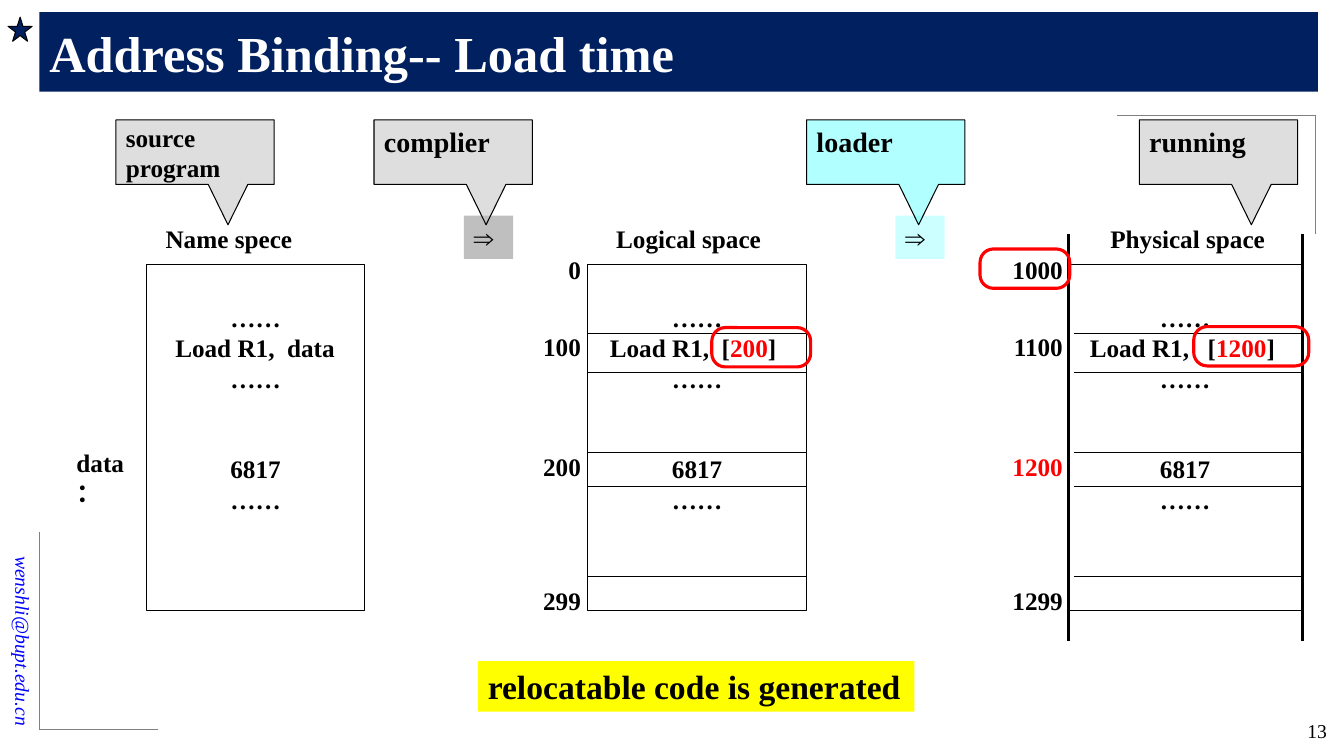
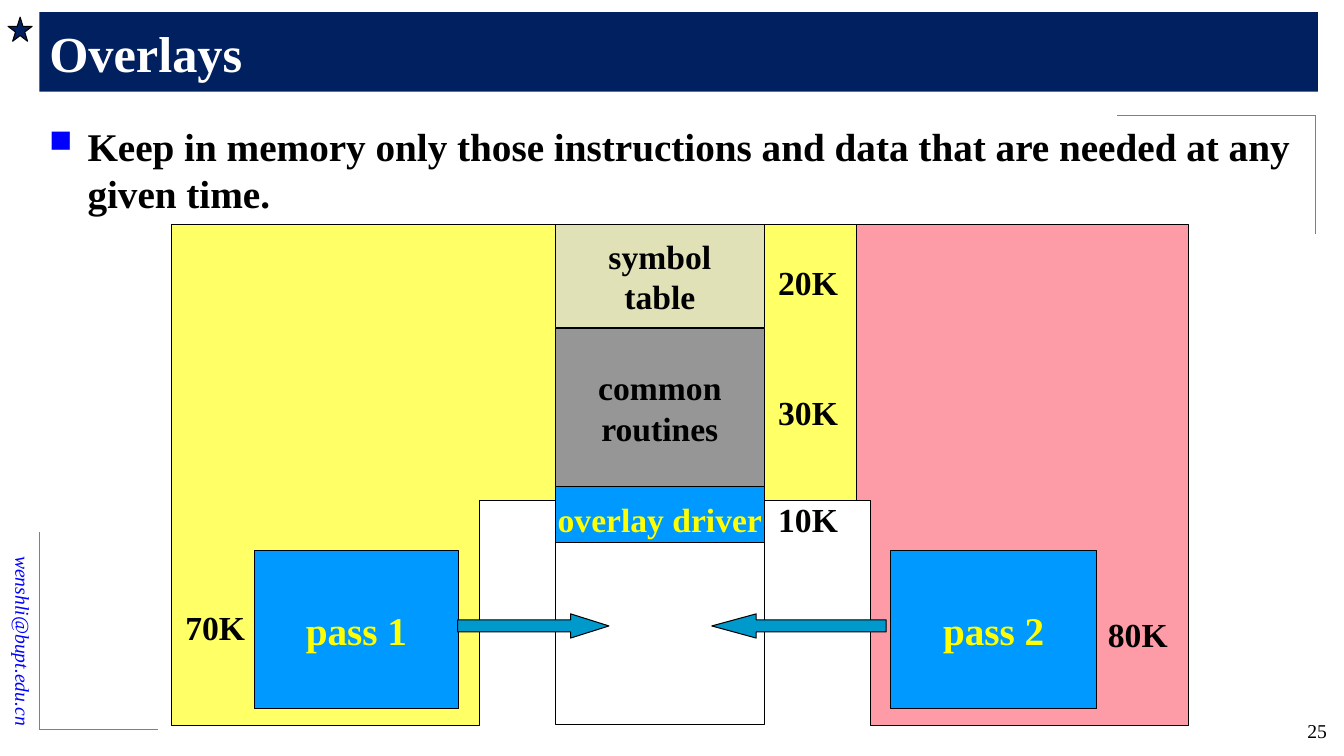
from lxml.etree import SubElement
from pptx import Presentation
from pptx.dml.color import RGBColor
from pptx.enum.shapes import MSO_CONNECTOR, MSO_SHAPE
from pptx.enum.text import MSO_ANCHOR, PP_ALIGN
from pptx.oxml.ns import qn
from pptx.util import Inches, Pt

FONT = "Times New Roman"
BLACK = RGBColor(0x00, 0x00, 0x00)
WHITE = RGBColor(0xFF, 0xFF, 0xFF)
GRAY = RGBColor(0x80, 0x80, 0x80)
NAVY = RGBColor(0x00, 0x20, 0x60)
BLUE = RGBColor(0x00, 0x00, 0xFF)
RED = RGBColor(0xFF, 0x00, 0x00)
YELLOW = RGBColor(0xFF, 0xFF, 0x00)
SILVER = RGBColor(0xBF, 0xBF, 0xBF)
CYAN = RGBColor(0x66, 0xFF, 0xFF)
PALE_CYAN = RGBColor(0xCC, 0xFF, 0xFF)
PINK = RGBColor(0xFD, 0x9B, 0xA7)
LEMON = RGBColor(0xFF, 0xFF, 0x66)
KHAKI = RGBColor(0xE1, 0xE1, 0xB7)
DARK_GRAY = RGBColor(0x96, 0x96, 0x96)
AZURE = RGBColor(0x00, 0x99, 0xFF)
TEAL = RGBColor(0x00, 0x99, 0xCC)

LINE_HEIGHT = 21.6
BLOCK_TOP, BLOCK_HEIGHT = 2.62, 3.44
RULE_TOPS = (3.31, 3.7, 4.49, 4.83, 5.72)
ADDRESS_TOPS = (2.47, 3.24, 4.43, 5.76)
PASS_TOP, PASS_HEIGHT = 5.46, 1.57


def set_font(font, size, color=BLACK, bold=True, italic=False):
    """Give a font its typeface, size, colour and style."""
    font.name = FONT
    font.size = Pt(size)
    font.color.rgb = color
    font.bold = bold
    font.italic = italic


def write_text(shape, text, size, color=BLACK, align=PP_ALIGN.LEFT,
               anchor=MSO_ANCHOR.TOP, wrap=True, bold=True, italic=False):
    """Fill a shape with equally formatted paragraphs, one per line of text."""
    frame = shape.text_frame
    frame.text = text
    frame.word_wrap = wrap
    frame.vertical_anchor = anchor
    for paragraph in frame.paragraphs:
        paragraph.alignment = align
        set_font(paragraph.font, size, color, bold, italic)
    return shape


def paint(shape, fill=None, line=None, width=0.75):
    """Set the fill and outline of a shape and remove its shadow."""
    shape.shadow.inherit = False
    if fill is None:
        shape.fill.background()
    else:
        shape.fill.solid()
        shape.fill.fore_color.rgb = fill
    if line is None:
        shape.line.fill.background()
    else:
        shape.line.color.rgb = line
        shape.line.width = Pt(width)
    return shape


def add_figure(slide, kind, left, top, width, height, fill=None, line=None, weight=0.75):
    """Add a painted preset shape."""
    shape = slide.shapes.add_shape(
        kind, Inches(left), Inches(top), Inches(width), Inches(height))
    return paint(shape, fill, line, weight)


def add_label(slide, left, top, width, height, text, size, **style):
    """Add a text box."""
    box = slide.shapes.add_textbox(
        Inches(left), Inches(top), Inches(width), Inches(height))
    return write_text(box, text, size, **style)


def add_line(slide, start, end, color=BLACK, width=0.75):
    """Add a straight line without a shadow."""
    line = slide.shapes.add_connector(
        MSO_CONNECTOR.STRAIGHT, *(Inches(value) for value in (*start, *end)))
    line.line.color.rgb = color
    line.line.width = Pt(width)
    SubElement(line._element.spPr, qn("a:effectLst"))


def add_outline(slide, points, fill):
    """Add a closed polygon."""
    corners = [(Inches(x), Inches(y)) for x, y in points]
    builder = slide.shapes.build_freeform(*corners[0])
    builder.add_line_segments(corners[1:], close=True)
    paint(builder.convert_to_shape(), fill, BLACK)


def add_box(slide, left, top, width, height, fill, text, size, color=BLACK):
    """Add an outlined box with centred text."""
    box = add_figure(slide, MSO_SHAPE.RECTANGLE, left, top, width, height, fill, BLACK)
    write_text(box, text, size, color, PP_ALIGN.CENTER, MSO_ANCHOR.MIDDLE, wrap=False)


def start_slide(presentation, title, number):
    """Add a slide with the shared frame, title band and page number."""
    slide = presentation.slides.add_slide(presentation.slide_layouts[6])
    address = add_label(slide, -1.09, 5.81, 2.64, 0.34, "wenshli@bupt.edu.cn", 14,
                        color=BLUE, align=PP_ALIGN.RIGHT, anchor=MSO_ANCHOR.MIDDLE,
                        bold=False, italic=True)
    address.rotation = 90
    for corner, ends in (((0.39, 7.24), ((0.39, 5.28), (1.57, 7.24))),
                         ((13.05, 1.14), ((13.05, 2.32), (11.08, 1.14)))):
        for end in ends:
            add_line(slide, corner, end, GRAY, 0.5)
    add_figure(slide, MSO_SHAPE.STAR_5_POINT, 0.08, 0.17, 0.24, 0.24, NAVY, BLACK)
    band = add_figure(slide, MSO_SHAPE.RECTANGLE, 0.39, 0.12, 12.68, 0.79, NAVY)
    write_text(band, title, 36, WHITE, anchor=MSO_ANCHOR.MIDDLE)
    add_label(slide, 12.15, 7.08, 1.11, 0.36, str(number), 14,
              align=PP_ALIGN.RIGHT, bold=False)
    return slide


def add_callout(slide, left, text, fill=SILVER, size=20, anchor=MSO_ANCHOR.TOP):
    """Add a half-transparent callout that points down."""
    callout = add_figure(slide, MSO_SHAPE.RECTANGULAR_CALLOUT,
                         left, 1.19, 1.57, 0.64, fill, BLACK)
    callout.adjustments[0] = 0.208
    callout.adjustments[1] = 1.125
    color = callout._element.spPr.find(qn("a:solidFill")).find(qn("a:srgbClr"))
    SubElement(color, qn("a:alpha"), val="50000")
    write_text(callout, text, size, anchor=anchor)


def add_step_arrow(slide, left, fill):
    """Add the small arrow sign between two address spaces."""
    sign = add_figure(slide, MSO_SHAPE.RECTANGLE, left, 2.14, 0.49, 0.43, fill)
    write_text(sign, "⇒", 20)


def add_memory_block(slide, left, width, heading, heading_center, operand, stops):
    """Add an address space; the operand is a list of text and colour pairs."""
    add_label(slide, heading_center - 0.9, 2.17, 1.8, 0.4, heading, 18,
              align=PP_ALIGN.CENTER)
    block = add_figure(slide, MSO_SHAPE.RECTANGLE, left, BLOCK_TOP, width, BLOCK_HEIGHT,
                       line=BLACK)
    frame = block.text_frame
    frame.margin_top = Inches(0.38)
    frame.text = "……\n\tLoad R1,\t\n……\n6817\n……"
    frame.word_wrap = False
    frame.vertical_anchor = MSO_ANCHOR.TOP
    instruction, data = frame.paragraphs[1], frame.paragraphs[3]
    for paragraph in frame.paragraphs:
        paragraph.alignment = PP_ALIGN.CENTER
        paragraph.line_spacing = Pt(LINE_HEIGHT)
    data.space_before = Pt(2 * LINE_HEIGHT)
    instruction.alignment = PP_ALIGN.LEFT
    tabs = SubElement(instruction._p.get_or_add_pPr(), qn("a:tabLst"))
    for stop in stops:
        SubElement(tabs, qn("a:tab"), pos=str(Inches(stop)), algn="l")
    for paragraph in frame.paragraphs:
        set_font(paragraph.font, 18)
    for text, color in operand:
        run = instruction.add_run()
        run.text = text
        run.font.color.rgb = color


def add_addresses(slide, right, width, addresses, highlight=None):
    """Add the addresses at the left side of an address space."""
    for top, address in zip(ADDRESS_TOPS, addresses):
        add_label(slide, right - width, top, width, 0.4, address, 18,
                  color=RED if address == highlight else BLACK,
                  align=PP_ALIGN.RIGHT, wrap=False)


def add_rules(slide, left, right):
    """Divide an address space with horizontal lines."""
    for top in RULE_TOPS:
        add_line(slide, (left, top), (right, top))


def add_mark(slide, left, top, width):
    """Add a red rounded frame around a value."""
    mark = add_figure(slide, MSO_SHAPE.ROUNDED_RECTANGLE, left, top, width, 0.39,
                      line=RED, weight=2.25)
    mark.adjustments[0] = 0.342


def build_load_time(presentation):
    """Build the slide on address binding at load time."""
    slide = start_slide(presentation, "Address Binding-- Load time", 13)
    add_memory_block(slide, 1.45, 2.17, "Name spece", 2.27,
                     [("data", BLACK)], (0.19, 1.3))
    add_label(slide, 0.66, 4.39, 0.97, 0.4, "data\v：", 18)
    add_memory_block(slide, 5.83, 2.17, "Logical space", 6.83,
                     [("[", BLACK), ("200", RED), ("]", BLACK)], (0.12, 1.23))
    add_addresses(slide, 5.86, 0.58, ("0", "100", "200", "299"))
    add_rules(slide, 5.83, 7.99)
    add_memory_block(slide, 10.59, 2.33, "Physical space", 11.78,
                     [("[", BLACK), ("1200", RED), ("]", BLACK)], (0.12, 1.29))
    add_addresses(slide, 10.64, 0.71, ("1000", "1100", "1200", "1299"), "1200")
    add_rules(slide, 10.65, 12.91)
    for side in (10.6, 12.92):
        add_line(slide, (side, 2.32), (side, 6.36), width=2.25)
    add_step_arrow(slide, 4.6, SILVER)
    add_step_arrow(slide, 8.88, PALE_CYAN)
    add_callout(slide, 1.15, "source program", size=18, anchor=MSO_ANCHOR.MIDDLE)
    add_callout(slide, 3.71, "complier")
    add_callout(slide, 8, "loader", CYAN)
    add_callout(slide, 11.3, "running")
    for left, top, width in ((9.72, 2.47, 0.89), (11.84, 3.24, 1.14), (7.06, 3.25, 0.98)):
        add_mark(slide, left, top, width)
    banner = add_figure(slide, MSO_SHAPE.RECTANGLE, 4.74, 6.56, 4.33, 0.5, YELLOW)
    write_text(banner, "relocatable code is generated", 24, wrap=False)


def add_bullet(slide, text):
    """Add a bulleted statement below the title."""
    body = add_label(slide, 0.39, 1.16, 12.64, 1.05, text, 28)
    paragraph = body.text_frame.paragraphs[0]
    properties = paragraph._p.get_or_add_pPr()
    properties.set("marL", str(Inches(0.38)))
    properties.set("indent", str(-Inches(0.38)))
    bullet_color = properties.makeelement(qn("a:buClr"))
    SubElement(bullet_color, qn("a:srgbClr"), val=str(BLUE))
    bullet_size = properties.makeelement(qn("a:buSzPct"), val="80000")
    bullet_sign = properties.makeelement(qn("a:buChar"), char="■")
    for position, element in enumerate((bullet_color, bullet_size, bullet_sign)):
        properties.insert(position, element)


def build_overlays(presentation):
    """Build the slide on overlays."""
    slide = start_slide(presentation, "Overlays", 25)
    add_bullet(slide, "Keep in memory only those instructions and data "
                      "that are needed at any given time.")
    top, step, bottom = 2.23, 4.97, 7.2
    for outer, inner, far, fill in ((11.79, 8.63, 4.8, PINK), (1.7, 4.76, 8.49, LEMON)):
        add_outline(slide, ((outer, bottom), (inner, bottom), (inner, step),
                            (far, step), (far, top), (outer, top)), fill)
    for box_top, height, fill, text, color in (
            (2.23, 1.02, KHAKI, "symbol\ntable", BLACK),
            (3.26, 1.57, DARK_GRAY, "common\nroutines", BLACK),
            (4.83, 0.63, AZURE, "overlay driver", YELLOW)):
        add_box(slide, 5.51, box_top, 2.07, height, fill, text, 24, color)
    add_figure(slide, MSO_SHAPE.RECTANGLE, 5.51, 5.38, 2.07, 1.81, WHITE, BLACK)
    add_box(slide, 2.52, PASS_TOP, 2.03, PASS_HEIGHT, AZURE, "pass 1", 28, YELLOW)
    add_box(slide, 8.83, PASS_TOP, 2.05, PASS_HEIGHT, AZURE, "pass 2", 28, YELLOW)
    for left, label_top, text in ((7.62, 2.55, "20K"), (7.62, 3.84, "30K"),
                                  (7.62, 4.9, "10K"), (1.74, 5.97, "70K"),
                                  (10.89, 6.04, "80K")):
        add_label(slide, left, label_top, 0.8, 0.51, text, 24, wrap=False)
    for kind, left, width, head in ((MSO_SHAPE.RIGHT_ARROW, 4.54, 1.5, 1.585),
                                    (MSO_SHAPE.LEFT_ARROW, 7.06, 1.73, 1.835)):
        arrow = add_figure(slide, kind, left, 6.09, width, 0.24, TEAL, BLACK)
        arrow.adjustments[1] = head


def main():
    """Build and save the presentation."""
    presentation = Presentation()
    presentation.slide_width = Inches(13.33)
    presentation.slide_height = Inches(7.5)
    build_load_time(presentation)
    build_overlays(presentation)
    presentation.save("out.pptx")


if __name__ == "__main__":
    main()
